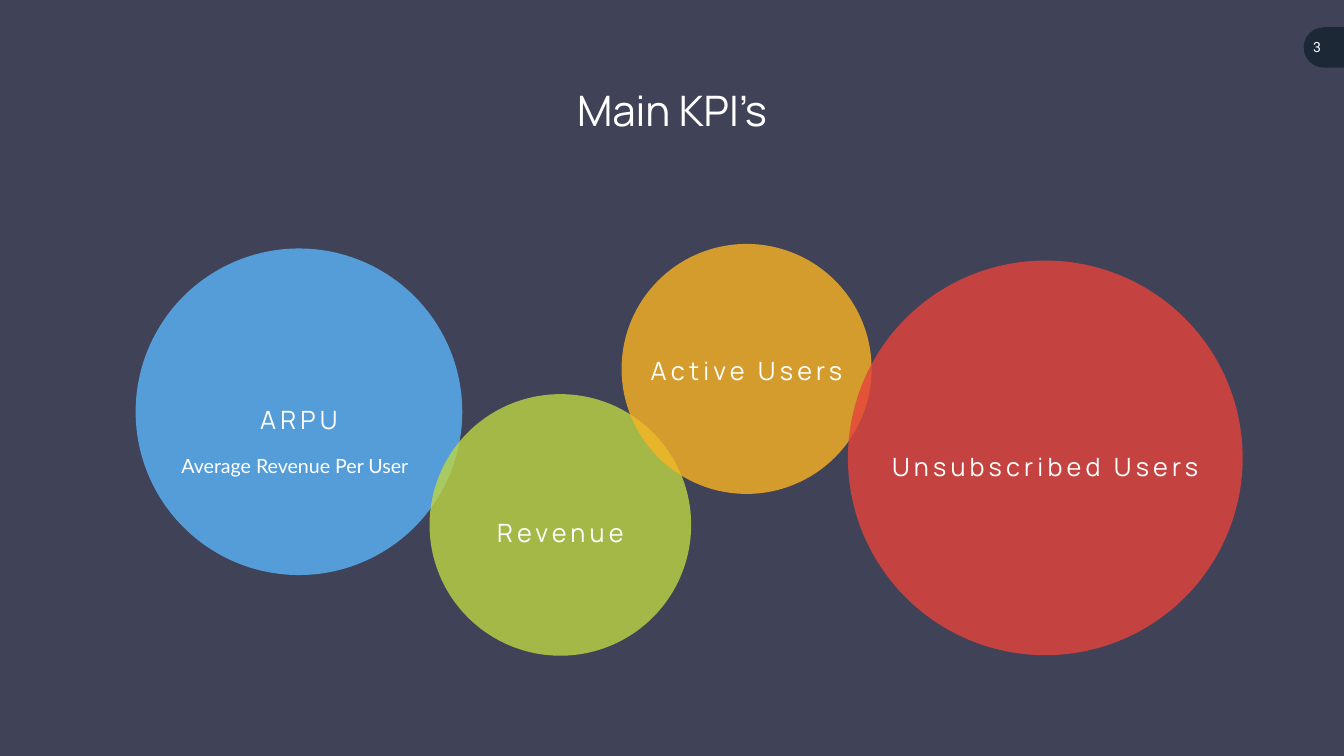
from dataclasses import dataclass

from lxml.etree import SubElement
from pptx import Presentation
from pptx.dml.color import RGBColor
from pptx.enum.shapes import MSO_SHAPE as Shape
from pptx.enum.text import MSO_AUTO_SIZE as AutoSize, PP_ALIGN as Align
from pptx.oxml.ns import qn
from pptx.util import Inches, Pt


@dataclass(frozen=True)
class Theme:
    """Colours, fonts and type sizes of the slide."""
    background: str = "404258"
    tab: str = "1C2835"
    text: str = "FFFFFF"
    arpu: str = "5AB4FA"
    revenue: str = "BDD645"
    active: str = "FAB323"
    unsubscribed: str = "E5423B"
    opacity: int = 80
    heading_font: str = "Manrope"
    body_font: str = "Lato"
    number_font: str = "Roboto"
    title_size: int = 60
    label_size: int = 36
    body_size: int = 28
    number_size: int = 20
    label_spacing: int = 6


THEME = Theme()
BUBBLES = [
    ("ARPU", THEME.arpu, 2.69, 4.93, 6.48, 8.02, 1.86),
    ("Revenue", THEME.revenue, 8.52, 7.82, 5.19, 10.26, 2.99),
    ("Active Users", THEME.active, 12.33, 4.84, 4.96, 7.04, 4.32),
    ("Unsubscribed Users", THEME.unsubscribed, 16.82, 5.17, 7.83, 8.96, 6.76),
]


def add_filled(shapes, kind, area, color):
    """Add a preset shape with a plain fill, no line and no shadow."""
    shape = shapes.add_shape(kind, *map(Inches, area))
    shape.shadow.inherit = False
    shape.fill.solid()
    shape.fill.fore_color.rgb = RGBColor.from_string(color)
    shape.line.fill.background()
    return shape


def add_text(shapes, words, area, font, size, align=Align.CENTER,
             insets=(0.1, 0, 0.1, 0), wrap=True, spacing=0, line_spacing=None):
    """Add a one-paragraph text box."""
    box = shapes.add_textbox(*map(Inches, area))
    frame = box.text_frame
    frame.word_wrap = wrap
    frame.auto_size = AutoSize.SHAPE_TO_FIT_TEXT
    (frame.margin_left, frame.margin_top,
     frame.margin_right, frame.margin_bottom) = map(Inches, insets)
    para = frame.paragraphs[0]
    para.alignment = align
    if line_spacing:
        para.line_spacing = line_spacing
    span = para.add_run()
    span.text = words
    span.font.name = font
    span.font.size = Pt(size)
    span.font.color.rgb = RGBColor.from_string(THEME.text)
    if spacing:
        span._r.get_or_add_rPr().set("spc", str(spacing * 100))


def add_bubble(page, label, color, left, top, diameter, label_top, label_width):
    """Group a translucent circle with its centred label."""
    shapes = page.shapes.add_group_shape().shapes
    circle = add_filled(shapes, Shape.OVAL, (left, top, diameter, diameter), color)
    tint = circle.element.spPr.find(".//" + qn("a:srgbClr"))
    SubElement(tint, qn("a:alpha")).set("val", str(THEME.opacity * 1000))
    label_left = left + (diameter - label_width) / 2
    add_text(shapes, label, (label_left, label_top, label_width, 0.71),
             THEME.heading_font, THEME.label_size, wrap=False,
             spacing=THEME.label_spacing)


def add_page_number(page, number):
    """Add the tab at the right edge with the page number."""
    tab = add_filled(page.shapes, Shape.FLOWCHART_DELAY, (25.86, 0.54, 0.8, 0.8), THEME.tab)
    tab.rotation = 180
    add_text(page.shapes, number, (25.69, 0.67, 1.01, 0.54), THEME.number_font,
             THEME.number_size, insets=(0.2, 0.1, 0.34, 0.1))


def main():
    """Build and save the KPI slide."""
    deck = Presentation()
    deck.slide_width, deck.slide_height = Inches(26.66), Inches(15)
    page = deck.slides.add_slide(deck.slide_layouts[6])
    page.background.fill.solid()
    page.background.fill.fore_color.rgb = RGBColor.from_string(THEME.background)
    add_page_number(page, "3")
    add_text(page.shapes, "Main KPI’s", (5.3, 1.68, 16.06, 1.11),
             THEME.heading_font, THEME.title_size)
    for bubble in BUBBLES:
        add_bubble(page, *bubble)
    add_text(page.shapes, "Average Revenue Per User", (3.5, 8.73, 4.85, 0.71),
             THEME.body_font, THEME.body_size, align=Align.LEFT,
             insets=(0.1, 0.05, 0.1, 0.05), line_spacing=1.5)
    deck.save("out.pptx")


if __name__ == "__main__":
    main()
